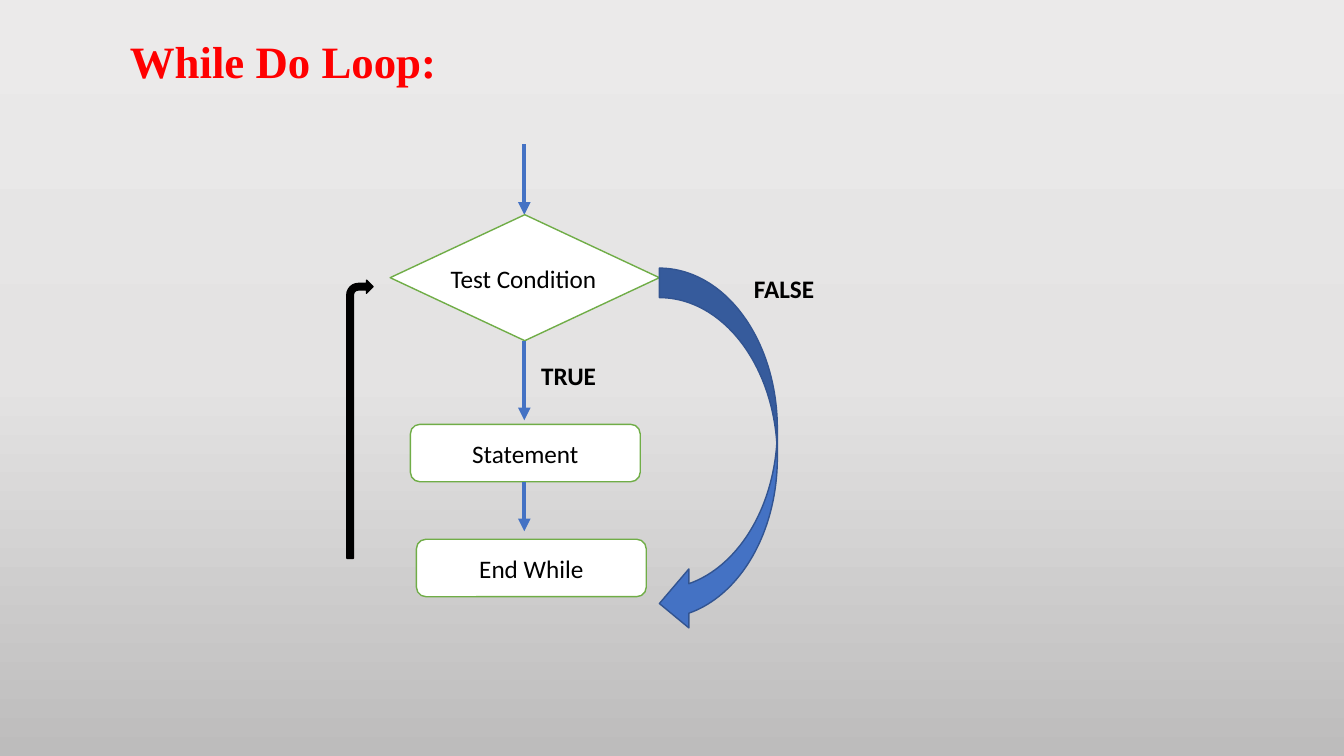
from copy import deepcopy

from pptx import Presentation
from pptx.dml.color import RGBColor
from pptx.enum.shapes import MSO_CONNECTOR, MSO_SHAPE
from pptx.enum.text import MSO_ANCHOR, PP_ALIGN
from pptx.oxml.ns import qn
from pptx.util import Inches, Pt
from lxml import etree

STRAIGHT = MSO_CONNECTOR.STRAIGHT
DECISION = MSO_SHAPE.FLOWCHART_DECISION
ROUNDED = MSO_SHAPE.ROUNDED_RECTANGLE
CURVED_LEFT = MSO_SHAPE.CURVED_LEFT_ARROW
BENT = MSO_SHAPE.BENT_ARROW
MIDDLE = MSO_ANCHOR.MIDDLE
CENTER = PP_ALIGN.CENTER

COLORS = {
    "title": "FF0000", "text": "000000", "white": "FFFFFF",
    "green": "70AD47", "blue": "4472C4", "dark_blue": "325491",
    "top": "EBEAEA", "middle": "E4E3E3", "bottom": "BDBCBC",
}


def rgb(name):
    """Return the named colour."""
    return RGBColor.from_string(COLORS[name])


def paint_background(page):
    """Fill the page with a three-stop gradient running downwards."""
    fill = page.background.fill
    fill.gradient()
    fill.gradient_angle = 270
    stop_list = page.element.find(".//" + qn("a:gsLst"))
    stop_list.append(deepcopy(stop_list[-1]))
    stops = zip(fill.gradient_stops, ("top", "middle", "bottom"), (0, 0.5, 1))
    for stop, color, position in stops:
        stop.color.rgb = rgb(color)
        stop.position = position


def write(shape, text, size=18, font="Calibri", color="text", bold=False):
    """Write one styled paragraph into a shape and return it."""
    shape.text_frame.word_wrap = True
    para = shape.text_frame.paragraphs[0]
    para.text = text
    para.font.size = Pt(size)
    para.font.name = font
    para.font.bold = bold
    para.font.color.rgb = rgb(color)
    return para


def add_label(page, text, left, top, width, height=0.4, **style):
    """Add a left-aligned text box."""
    box = page.shapes.add_textbox(*map(Inches, (left, top, width, height)))
    write(box, text, **style)


def add_block(page, kind, left, top, width, height, fill="white", line="green"):
    """Add a flat filled shape with a thin outline."""
    shape = page.shapes.add_shape(kind, *map(Inches, (left, top, width, height)))
    shape.shadow.inherit = False
    shape.fill.solid()
    shape.fill.fore_color.rgb = rgb(fill)
    shape.line.color.rgb = rgb(line)
    shape.line.width = Pt(1)
    return shape


def add_step(page, text, left, top):
    """Add a rounded process step with centred text."""
    step = add_block(page, ROUNDED, left, top, 2.28, 0.57)
    step.text_frame.vertical_anchor = MIDDLE
    write(step, text).alignment = CENTER


def add_down_arrow(page, x, top, bottom):
    """Add a vertical flow arrow."""
    arrow = page.shapes.add_connector(
        STRAIGHT, Inches(x), Inches(top), Inches(x), Inches(bottom))
    arrow.line.color.rgb = rgb("blue")
    arrow.line.width = Pt(3)
    etree.SubElement(arrow.line._get_or_add_ln(), qn("a:tailEnd"), type="triangle")
    etree.SubElement(arrow.element.spPr, qn("a:effectLst"))


def build_flowchart(page, left, top):
    """Draw the loop flowchart from the top left corner given."""
    axis = left + 1.76
    add_down_arrow(page, axis, top, top + 0.7)
    add_block(page, DECISION, left + 0.43, top + 0.7, 2.67, 1.25)
    add_label(page, "Test Condition", left + 0.93, top + 1.13, 1.67)
    add_step(page, "Statement", left + 0.63, top + 2.78)
    add_down_arrow(page, axis, top + 1.95, top + 2.74)
    add_block(page, CURVED_LEFT, left + 3.1, top + 1.23, 1.17, 3.62,
              "blue", "dark_blue")
    add_step(page, "End While", left + 0.69, top + 3.92)
    add_label(page, "TRUE", left + 1.83, top + 2.1, 1.17, bold=True)
    add_label(page, "FALSE", left + 3.94, top + 1.23, 1.17, bold=True)
    add_down_arrow(page, axis, top + 3.35, top + 3.84)
    add_block(page, BENT, left, top + 1.35, 0.26, 2.76, "text", "text")


def main():
    """Build the slide and save it."""
    deck = Presentation()
    deck.slide_width, deck.slide_height = Inches(13.33), Inches(7.5)
    page = deck.slides.add_slide(deck.slide_layouts[6])
    paint_background(page)
    add_label(page, "While Do Loop:", 1.19, 0.29, 6.67, 0.64, size=32,
              font="Times New Roman", color="title", bold=True)
    build_flowchart(page, 3.44, 1.43)
    deck.save("out.pptx")


if __name__ == "__main__":
    main()
